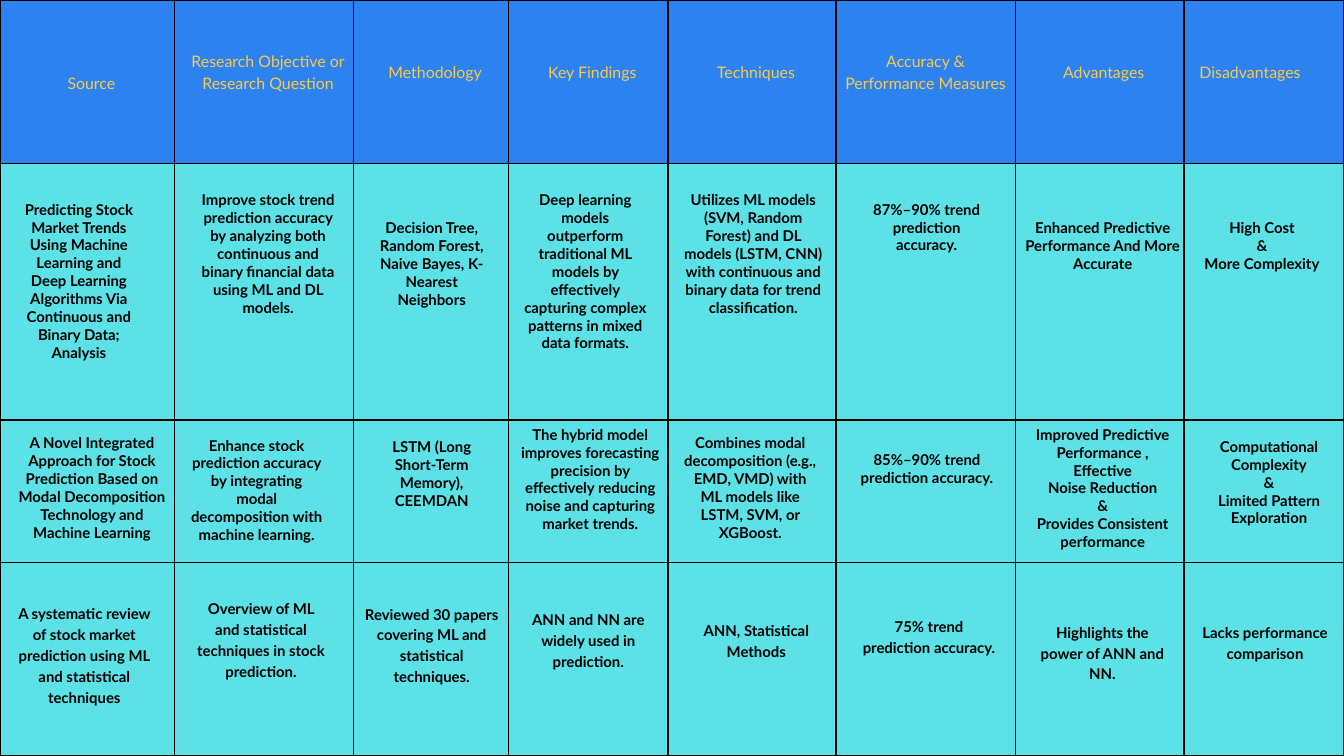
from dataclasses import dataclass

from lxml.etree import SubElement
from pptx import Presentation
from pptx.dml.color import RGBColor
from pptx.enum.text import MSO_ANCHOR as Anchor, MSO_AUTO_SIZE as AutoSize, PP_ALIGN as Align
from pptx.oxml.ns import qn
from pptx.util import Inches, Pt


@dataclass(frozen=True)
class Theme:
    font: str = "Lato"
    header_fill: str = "2C82F0"
    body_fill: str = "5CE1E6"
    header_text: str = "FACA49"
    body_text: str = "000000"
    border: str = "000000"
    border_pt: float = 1.5
    header_pt: float = 17
    body_pt: float = 16
    header_leading: float = 23.8
    review_leading: float = 22.4


@dataclass(frozen=True)
class Heading:
    text: str
    left: float = 0.23
    bottom: float = 0.44
    align: Align = Align.CENTER


@dataclass(frozen=True)
class Note:
    text: str
    left: float
    top: float
    width: float
    height: float


THEME = Theme()
COLS = [2.6, 2.66, 2.31, 2.37, 2.5, 2.67, 2.51, 2.37]
ROWS = [2.43, 3.82, 2.12, 2.88]
INSET = 0.11

HEADINGS = [
    Heading("Source", bottom=INSET),
    Heading("Research Objective or\nResearch Question"),
    Heading("Methodology"),
    Heading("Key Findings"),
    Heading("Techniques"),
    Heading("Accuracy &\nPerformance Measures", left=INSET),
    Heading("Advantages"),
    Heading("Disadvantages", align=Align.LEFT),
]

# Notes of each study, in column order
DEEP_LEARNING_STUDY = [
    Note("Predicting Stock Market Trends Using Machine Learning and Deep Learning "
         "Algorithms Via Continuous and Binary Data; Analysis", 0.26, 2.93, 1.83, 3.06),
    Note("Improve stock trend prediction accuracy by analyzing both continuous and "
         "binary financial data using ML and DL models.", 2.89, 2.79, 2.2, 2.26),
    Note("Decision Tree, Random Forest, Naive Bayes, K-Nearest Neighbors",
         5.43, 3.21, 1.99, 1.72),
    Note("Deep learning models outperform traditional ML models by effectively "
         "capturing complex patterns in mixed data formats.", 7.67, 2.79, 2.08, 3.06),
    Note("Utilizes ML models (SVM, Random Forest) and DL models (LSTM, CNN) with "
         "continuous and binary data for trend classification.", 10.08, 2.79, 2.26, 2.52),
    Note("87%–90% trend prediction accuracy.", 12.75, 2.93, 2.08, 0.91),
    Note("Enhanced Predictive\nPerformance And More Accurate", 15.16, 3.21, 2.5, 0.91),
    Note("High Cost\n&\nMore Complexity", 17.71, 3.21, 2.14, 1.18),
]
DECOMPOSITION_STUDY = [
    Note("A Novel Integrated Approach for Stock Prediction Based on Modal "
         "Decomposition Technology and Machine Learning", 0.16, 6.41, 2.42, 2.26),
    Note("Enhance stock prediction accuracy by integrating modal decomposition with "
         "machine learning.", 2.72, 6.44, 2.2, 1.99),
    Note("LSTM (Long Short-Term Memory), CEEMDAN", 5.43, 6.46, 1.99, 1.18),
    Note("The hybrid model improves forecasting precision by effectively reducing "
         "noise and capturing market trends.", 7.58, 6.28, 2.41, 1.99),
    Note("Combines modal decomposition (e.g., EMD, VMD) with ML models like LSTM, "
         "SVM, or XGBoost.", 10.08, 6.41, 2.17, 1.72),
    Note("85%–90% trend prediction accuracy.", 12.49, 6.66, 2.61, 0.64),
    Note("Improved Predictive\nPerformance ,\nEffective\nNoise Reduction\n&\n"
         "Provides Consistent performance", 15.16, 6.28, 2.5, 1.99),
    Note("Computational Complexity\n&\nLimited Pattern Exploration",
         17.83, 6.46, 2.11, 1.45),
]
SYSTEMATIC_REVIEW = [
    Note("A systematic review of stock market prediction using ML and statistical "
         "techniques", 0.26, 8.96, 1.99, 1.83),
    Note("Overview of ML and statistical techniques in stock prediction.",
         2.89, 8.88, 1.99, 1.21),
    Note("Reviewed 30 papers covering ML and statistical techniques.",
         5.43, 8.96, 1.99, 1.21),
    Note("ANN and NN are widely used in prediction.", 7.76, 9.04, 1.99, 0.91),
    Note("ANN, Statistical Methods", 10.26, 9.2, 1.99, 0.6),
    Note("75% trend prediction accuracy.", 12.83, 9.15, 1.99, 0.91),
    Note("Highlights the power of ANN and NN.", 15.41, 9.23, 1.99, 0.91),
    Note("Lacks performance comparison", 17.83, 9.23, 1.99, 0.91),
]


def write(tf, text: str, size: float, color: str, bold: bool = False,
          align: Align = Align.CENTER, leading: float | None = None) -> None:
    for i, line in enumerate(text.split("\n")):
        p = tf.add_paragraph() if i else tf.paragraphs[0]
        p.alignment = align
        if leading:
            p.line_spacing = Pt(leading)
        r = p.add_run()
        r.text = line
        r.font.name = THEME.font
        r.font.size = Pt(size)
        r.font.bold = bold
        r.font.color.rgb = RGBColor.from_string(color)


def style_cell(cell, fill: str) -> None:
    # Borders come before the fill in the cell properties
    props = cell._tc.get_or_add_tcPr()
    for side in ("a:lnL", "a:lnR", "a:lnT", "a:lnB"):
        line = SubElement(props, qn(side), w=str(Pt(THEME.border_pt)))
        solid = SubElement(line, qn("a:solidFill"))
        SubElement(solid, qn("a:srgbClr"), val=THEME.border)
    cell.fill.solid()
    cell.fill.fore_color.rgb = RGBColor.from_string(fill)


def add_grid(s) -> None:
    frame = s.shapes.add_table(len(ROWS), len(COLS), 0, 0,
                               Inches(sum(COLS)), Inches(sum(ROWS)))
    table = frame.table
    table.first_row = table.horz_banding = False
    for column, width in zip(table.columns, COLS):
        column.width = Inches(width)
    for i, (row, height) in enumerate(zip(table.rows, ROWS)):
        row.height = Inches(height)
        for cell in row.cells:
            style_cell(cell, THEME.body_fill if i else THEME.header_fill)
    for cell, heading in zip(table.rows[0].cells, HEADINGS):
        cell.vertical_anchor = Anchor.MIDDLE
        cell.margin_left = Inches(heading.left)
        cell.margin_right = cell.margin_top = Inches(INSET)
        cell.margin_bottom = Inches(heading.bottom)
        write(cell.text_frame, heading.text, THEME.header_pt, THEME.header_text,
              align=heading.align, leading=THEME.header_leading)


def add_note(s, note: Note, inset: bool = True, leading: float | None = None) -> None:
    box = s.shapes.add_textbox(Inches(note.left), Inches(note.top),
                               Inches(note.width), Inches(note.height))
    tf = box.text_frame
    tf.word_wrap = True
    tf.auto_size = AutoSize.SHAPE_TO_FIT_TEXT
    if not inset:
        tf.margin_left = tf.margin_right = tf.margin_top = tf.margin_bottom = 0
    write(tf, note.text, THEME.body_pt, THEME.body_text, bold=True, leading=leading)


def main() -> None:
    prs = Presentation()
    prs.slide_width, prs.slide_height = Inches(20), Inches(11.25)
    s = prs.slides.add_slide(prs.slide_layouts[6])

    # Grid with headings, then the notes laid over its cells
    add_grid(s)
    for note in DEEP_LEARNING_STUDY + DECOMPOSITION_STUDY:
        add_note(s, note)
    for note in SYSTEMATIC_REVIEW:
        add_note(s, note, inset=False, leading=THEME.review_leading)

    prs.save("out.pptx")


if __name__ == "__main__":
    main()
